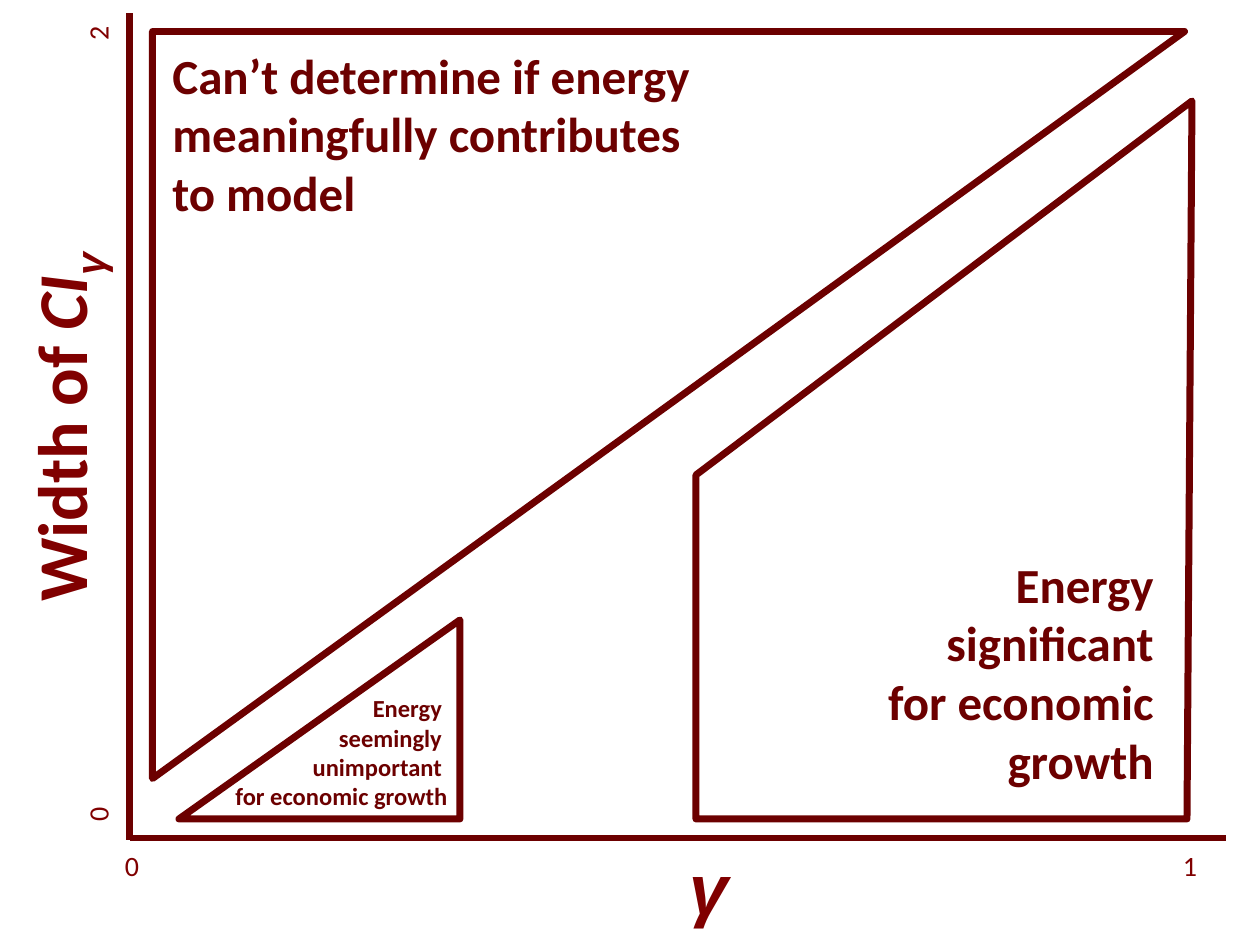
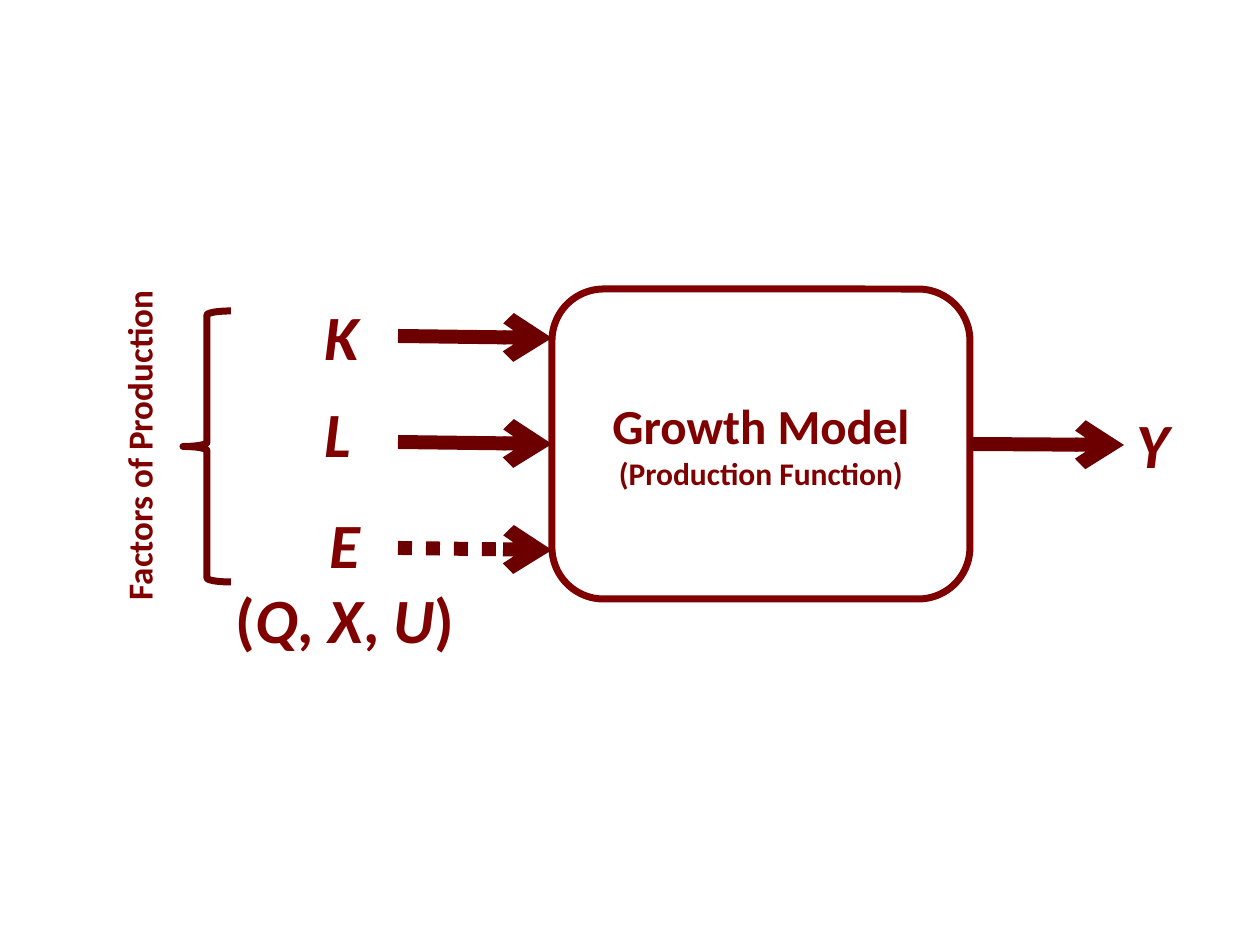
from dataclasses import dataclass

from lxml.etree import SubElement
from pptx import Presentation
from pptx.dml.color import RGBColor
from pptx.enum.dml import MSO_LINE
from pptx.enum.shapes import MSO_CONNECTOR, MSO_SHAPE as Preset
from pptx.enum.text import MSO_ANCHOR, MSO_AUTO_SIZE, PP_ALIGN as Align
from pptx.oxml.ns import qn
from pptx.util import Inches, Pt

PX = Inches(1) / 126


@dataclass(frozen=True)
class Theme:
    dark: RGBColor = RGBColor(0x6C, 0x00, 0x00)
    red: RGBColor = RGBColor(0x80, 0x00, 0x00)
    font: str = "Calibri"
    greek: str = "Arial"
    axis: int = 40
    symbol: int = 36
    head: int = 28
    side: int = 20
    sub: int = 18
    tick: int = 16
    small: int = 14
    outline: int = 4
    arrow: int = 8


THEME = Theme()
ITALIC = {"italic": True}
GREEK = {"italic": True, "font": THEME.greek}

# Content: a paragraph is a list of (text, run options)
AXIS_LINES = [(130, 838, 1226, 838), (130, 840, 130, 13)]
AXIS_TITLES = [
    ((677, 838, 72, 97), 0, Align.LEFT, [("γ", GREEK)]),
    ((-132, 379, 383, 97), 270, Align.CENTER,
     [("Width of ", {}), ("CI", ITALIC), ("γ", {**GREEK, "baseline": -25000})]),
]
TICKS = [
    ("0", (111, 842, 42, 47), 0),
    ("1", (1169, 842, 42, 47), 0),
    ("0", (77, 791, 42, 47), 270),
    ("2", (78, 10, 40, 47), 270),
]
UNCLEAR = ["Can’t determine if energy", "meaningfully contributes", "to model"]
UNIMPORTANT = ["Energy ", "seemingly ", "unimportant ", "for economic growth"]
SIGNIFICANT = ["Energy", "significant", "for economic", "growth"]
SIGNIFICANT_OUTLINE = [(1192, 101), (1187, 819), (696, 819), (696, 475)]

MODEL = [("Growth Model", THEME.head), ("(Production Function)", THEME.sub)]
SYMBOLS = [("Y", (1124, 399, 74, 89)), ("K", (312, 291, 76, 89)),
           ("L", (312, 388, 68, 89))]
ENERGY = [
    [("E", ITALIC)],
    [("(", {}), ("Q", ITALIC), (",", {}), (" X", ITALIC), (",", {}),
     (" U", ITALIC), (")", {})],
]
INPUT_DASHES = [None, None, MSO_LINE.ROUND_DOT]
INPUT_TOP, INPUT_STEP = 336, 106


def emu(*values):
    return [round(value * PX) for value in values]


def plain(lines):
    return [[(line, {})] for line in lines]


def write(frame, paragraphs, size, color, align=Align.LEFT, bold=True):
    for index, parts in enumerate(paragraphs):
        para = frame.paragraphs[0] if index == 0 else frame.add_paragraph()
        para.alignment = align
        for text, options in parts:
            span = para.add_run()
            span.text = text
            font = span.font
            font.name = options.get("font", THEME.font)
            font.size = Pt(options.get("size", size))
            font.bold = bold
            font.italic = options.get("italic", False)
            font.color.rgb = color
            if "baseline" in options:
                font._element.set("baseline", str(options["baseline"]))


def add_text(shapes, place, paragraphs, size, color, align=Align.LEFT,
             bold=True, rotation=0, wrap=False):
    box = shapes.add_textbox(*emu(*place))
    box.rotation = rotation
    box.text_frame.word_wrap = wrap
    box.text_frame.auto_size = MSO_AUTO_SIZE.SHAPE_TO_FIT_TEXT
    write(box.text_frame, paragraphs, size, color, align, bold)


def outline(shape, color=THEME.dark):
    shape.shadow.inherit = False
    shape.fill.background()
    shape.line.color.rgb = color
    shape.line.width = Pt(THEME.outline)
    return shape


def add_preset(shapes, preset, place, color=THEME.dark):
    return outline(shapes.add_shape(preset, *emu(*place)), color)


def add_line(shapes, ends, width, dash=None, arrow=False):
    connector = shapes.add_connector(MSO_CONNECTOR.STRAIGHT, *emu(*ends))
    connector.line.color.rgb = THEME.dark
    connector.line.width = Pt(width)
    if dash is not None:
        connector.line.dash_style = dash
    properties = connector._element.spPr
    if arrow:
        SubElement(properties.find(qn("a:ln")), qn("a:tailEnd"), type="arrow")
    SubElement(properties, qn("a:effectLst"))


def build_regions(page):
    # Axes with titles and end values
    for ends in AXIS_LINES:
        add_line(page.shapes, ends, THEME.outline)
    for place, rotation, align, parts in AXIS_TITLES:
        add_text(page.shapes, place, [parts], THEME.axis, THEME.red, align,
                 rotation=rotation)
    for value, place, rotation in TICKS:
        add_text(page.shapes, place, plain([value]), THEME.tick, THEME.red,
                 Align.CENTER, bold=False, rotation=rotation)

    # Upper left region
    region = page.shapes.add_group_shape().shapes
    triangle = add_preset(region, Preset.RIGHT_TRIANGLE, (295, -111, 747, 1032))
    triangle.rotation = 90
    add_text(region, (160, 39, 549, 190), plain(UNCLEAR), THEME.head, THEME.dark)

    # Small lower left region
    region = page.shapes.add_group_shape().shapes
    triangle = add_preset(region, Preset.RIGHT_TRIANGLE, (179, 620, 281, 199))
    triangle._element.spPr.find(qn("a:xfrm")).set("flipH", "1")
    add_text(region, (145, 687, 315, 131), plain(UNIMPORTANT), THEME.small,
             THEME.dark, Align.RIGHT, wrap=True)

    # Lower right region
    region = page.shapes.add_group_shape().shapes
    builder = region.build_freeform(*SIGNIFICANT_OUTLINE[0], scale=PX)
    builder.add_line_segments(SIGNIFICANT_OUTLINE[1:], close=True)
    outline(builder.convert_to_shape())
    add_text(region, (803, 548, 363, 251), plain(SIGNIFICANT), THEME.head,
             THEME.dark, Align.RIGHT, wrap=True)


def build_model(page):
    # Model box
    model = add_preset(page.shapes, Preset.ROUNDED_RECTANGLE,
                       (552, 289, 418, 310), THEME.red)
    model.text_frame.word_wrap = True
    model.text_frame.vertical_anchor = MSO_ANCHOR.MIDDLE
    write(model.text_frame, [[(text, {"size": size})] for text, size in MODEL],
          THEME.head, THEME.red, Align.CENTER)

    # Output and input arrows
    add_line(page.shapes, (970, 444, 1124, 445), THEME.arrow, arrow=True)
    for index, dash in enumerate(INPUT_DASHES):
        top = INPUT_TOP + index * INPUT_STEP
        add_line(page.shapes, (398, top, 552, top + 2), THEME.arrow, dash, True)

    # Symbols
    for symbol, place in SYMBOLS:
        add_text(page.shapes, place, [[(symbol, ITALIC)]], THEME.symbol, THEME.red)
    add_text(page.shapes, (220, 499, 250, 165), ENERGY, THEME.symbol, THEME.red,
             Align.CENTER)

    # Brace and its label
    factors = page.shapes.add_group_shape().shapes
    add_preset(factors, Preset.LEFT_BRACE, (183, 311, 48, 271))
    add_text(factors, (-31, 418, 340, 55), plain(["Factors of Production"]),
             THEME.side, THEME.red, Align.CENTER, rotation=270)


deck = Presentation()
deck.slide_width, deck.slide_height = Inches(10), Inches(7.5)
for build in (build_regions, build_model):
    build(deck.slides.add_slide(deck.slide_layouts[6]))
deck.save("out.pptx")
